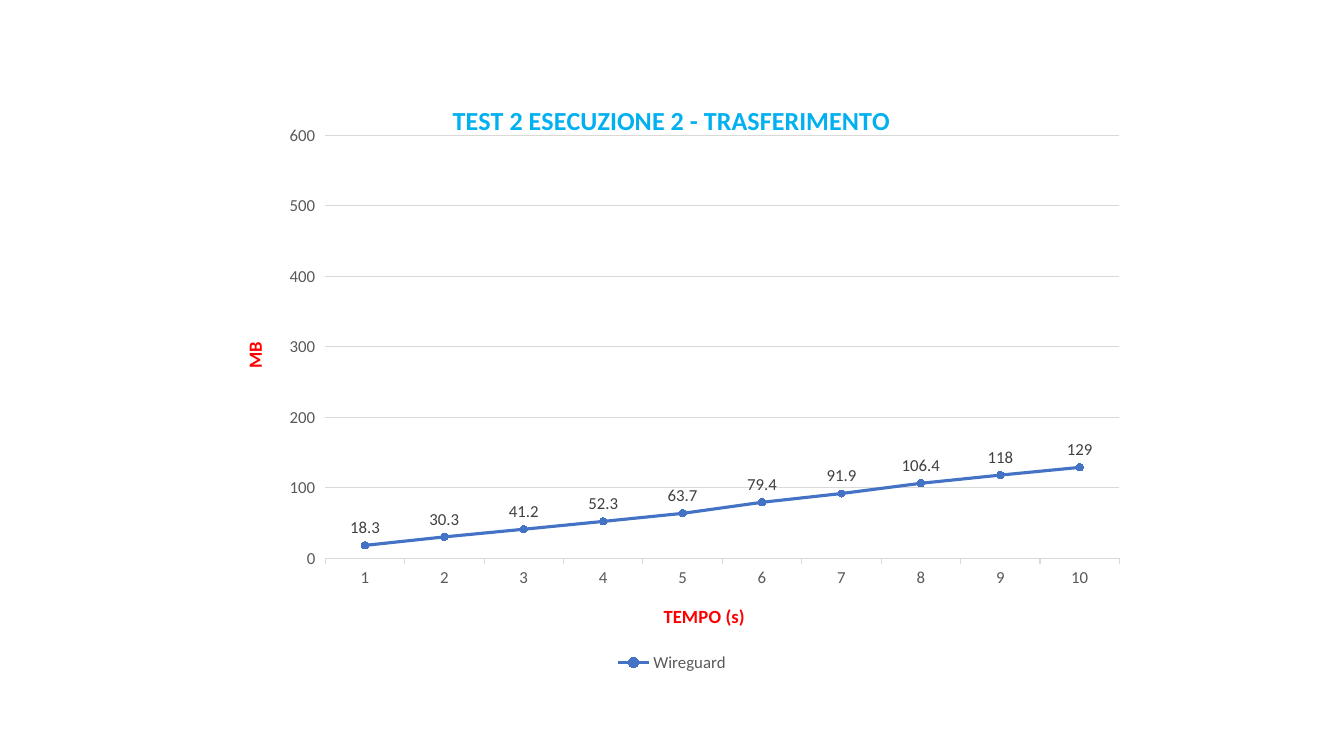
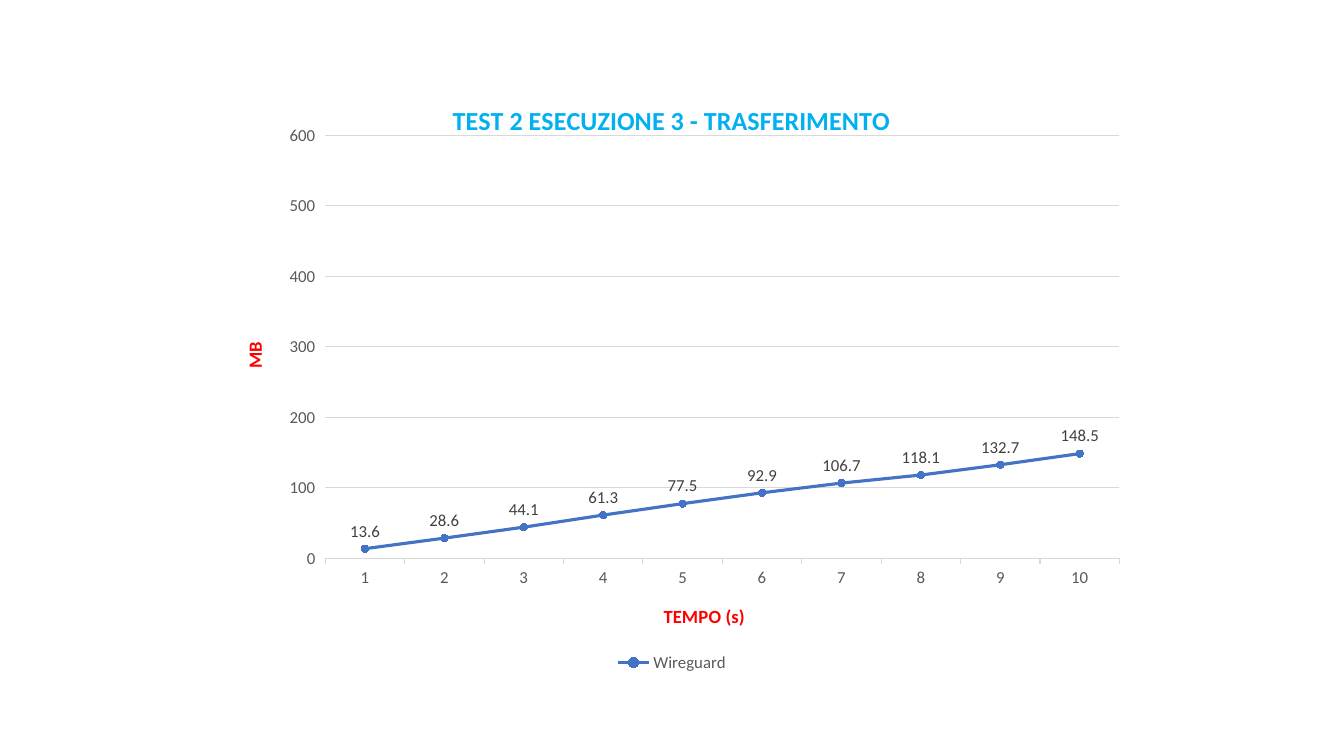
from pptx import Presentation, util as u
from pptx.chart.data import CategoryChartData
from pptx.dml.color import RGBColor
from pptx.enum import chart as ch
from pptx.oxml import parse_xml
from pptx.oxml.ns import nsdecls, qn

SLIDE_W, SLIDE_H = u.Inches(13.33), u.Inches(7.5)
FONT = "Calibri"
TITLE_BLUE, AXIS_RED, SERIES_BLUE = "00B0F0", "FF0000", "4472C4"
TEXT_GREY, LABEL_GREY, LINE_GREY = "595959", "404040", "D9D9D9"

SECONDS = [str(second) for second in range(1, 11)]
RUNS = {
    "TEST 2 ESECUZIONE 2 - TRASFERIMENTO":
        [18.3, 30.3, 41.2, 52.3, 63.7, 79.4, 91.9, 106.4, 118, 129],
    "TEST 2 ESECUZIONE 3 - TRASFERIMENTO":
        [13.6, 28.6, 44.1, 61.3, 77.5, 92.9, 106.7, 118.1, 132.7, 148.5],
}


def rgb(hex_color):
    return RGBColor.from_string(hex_color)


def style_font(font, size, color, bold=False):
    font.name, font.size, font.bold = FONT, u.Pt(size), bold
    font.color.rgb = rgb(color)


def style_line(line, color, width):
    line.color.rgb = rgb(color)
    line.width = u.Pt(width)


def pin(element, index, target=None, **shares):
    """Give a chart part a manual layout, in shares of the chart's size."""
    for old_layout in element.findall(qn("c:layout")):
        element.remove(old_layout)
    inner = f'<c:layoutTarget val="{target}"/>' if target else ""
    inner += "".join(f'<c:{edge}Mode val="edge"/>' for edge in "xy")
    inner += "".join(f'<c:{key} val="{share}"/>' for key, share in shares.items())
    element.insert(index, parse_xml(
        f'<c:layout {nsdecls("c")}><c:manualLayout>{inner}'
        '</c:manualLayout></c:layout>'))


def write_title(title, wording, size, color, x, y):
    title.text_frame.text = wording
    style_font(title.text_frame.paragraphs[0].runs[0].font, size, color, True)
    pin(title.element, 1, x=x, y=y)


def style_axis(axis, wording, x, y):
    axis.major_tick_mark = ch.XL_TICK_MARK.OUTSIDE
    axis.minor_tick_mark = ch.XL_TICK_MARK.NONE
    style_font(axis.tick_labels.font, 12, TEXT_GREY)
    write_title(axis.axis_title, wording, 13.3, AXIS_RED, x, y)


def style_axes(chart):
    seconds, megabytes = chart.category_axis, chart.value_axis
    style_axis(seconds, "TEMPO (s)", 0.487, 0.871)
    style_line(seconds.format.line, LINE_GREY, 0.75)

    style_axis(megabytes, "MB", 0.016, 0.434)
    turned = megabytes.axis_title.element.find(".//" + qn("a:bodyPr"))
    turned.set("rot", "-5400000")
    turned.set("vert", "horz")
    megabytes.minimum_scale, megabytes.maximum_scale = 0, 600
    megabytes.major_unit = 100
    megabytes.format.line.fill.background()
    style_line(megabytes.major_gridlines.format.line, LINE_GREY, 0.75)


def style_series(series):
    series.smooth = False
    style_line(series.format.line, SERIES_BLUE, 2.25)
    marker = series.marker
    marker.style, marker.size = ch.XL_MARKER_STYLE.CIRCLE, 5
    marker.format.fill.solid()
    marker.format.fill.fore_color.rgb = rgb(SERIES_BLUE)
    style_line(marker.format.line, SERIES_BLUE, 0.75)
    labels = series.data_labels
    labels.show_value = True
    labels.position = ch.XL_LABEL_POSITION.ABOVE
    style_font(labels.font, 12, LABEL_GREY)


def add_transfer_chart(slide, heading, transferred):
    """Centre a line chart that fills two thirds of the slide's width."""
    data = CategoryChartData()
    data.categories = SECONDS
    data.add_series("Wireguard", transferred)
    width, height = int(SLIDE_W * 2 / 3), int(SLIDE_H * 0.79)
    chart = slide.shapes.add_chart(
        ch.XL_CHART_TYPE.LINE_MARKERS, (SLIDE_W - width) // 2,
        (SLIDE_H - height) // 2, width, height, data).chart
    style_font(chart.font, 10, "000000")

    write_title(chart.chart_title, heading, 18.6, TITLE_BLUE, 0.25, 0.03)
    chart.chart_title.element.find(qn("c:overlay")).set("val", "1")
    pin(chart.element.find(".//" + qn("c:plotArea")), 0, "inner",
        x=0.113, y=0.094, w=0.887, h=0.708)

    chart.has_legend = True
    chart.legend.position = ch.XL_LEGEND_POSITION.BOTTOM
    chart.legend.include_in_layout = False
    style_font(chart.legend.font, 12, TEXT_GREY)

    style_axes(chart)
    chart.plots[0].vary_by_categories = False
    style_series(chart.plots[0].series[0])


def main():
    deck = Presentation()
    deck.slide_width, deck.slide_height = SLIDE_W, SLIDE_H
    blank = deck.slide_layouts[6]
    for heading, transferred in RUNS.items():
        add_transfer_chart(deck.slides.add_slide(blank), heading, transferred)
    deck.save("out.pptx")


if __name__ == "__main__":
    main()
